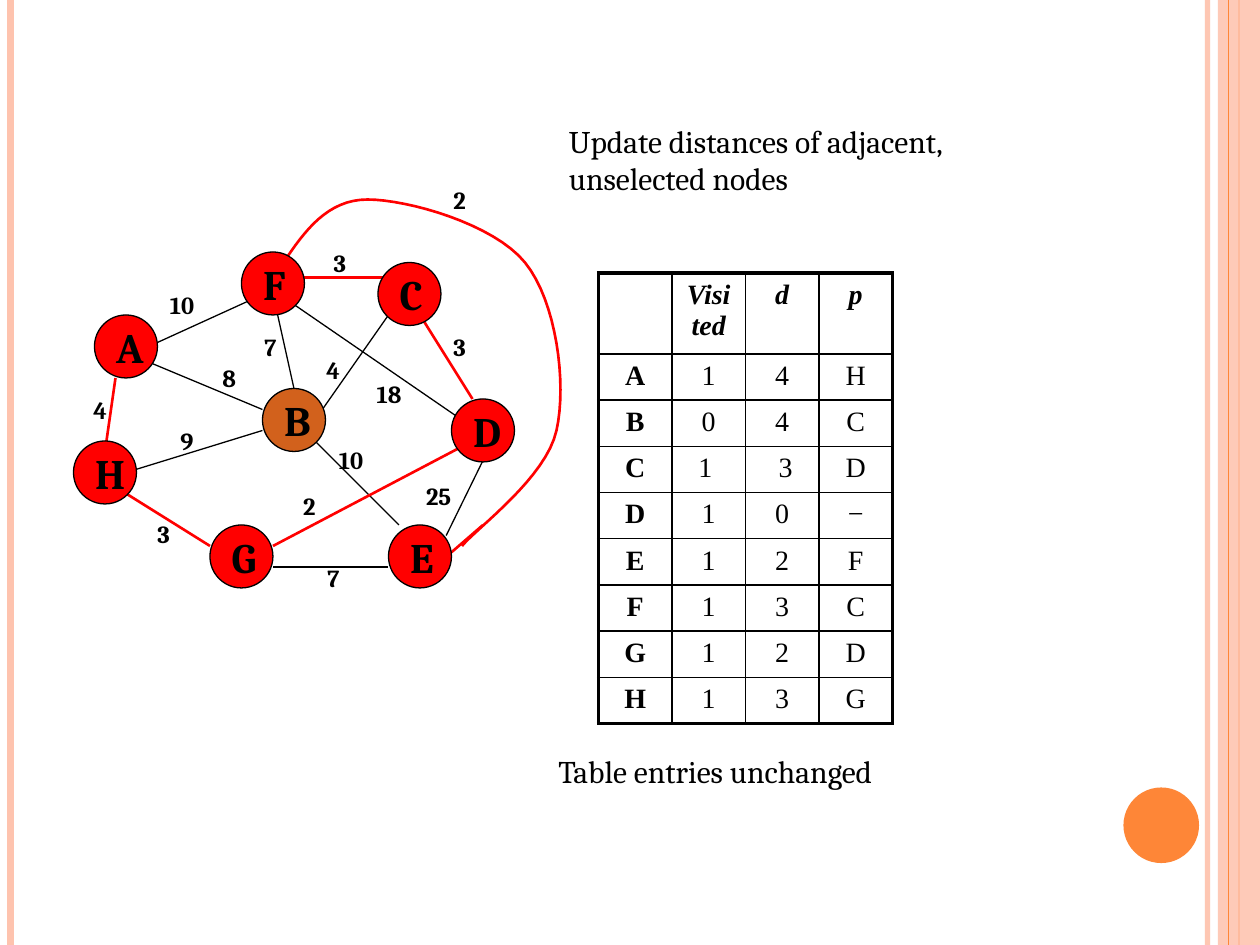
from lxml.etree import SubElement
from pptx import Presentation
from pptx.dml.color import RGBColor
from pptx.enum.shapes import MSO_CONNECTOR, MSO_SHAPE
from pptx.enum.text import MSO_ANCHOR, MSO_AUTO_SIZE, PP_ALIGN
from pptx.oxml.ns import qn
from pptx.util import Pt

SCALE = 7620
RED, BLACK, ROSE, ORANGE, RUST = "FF0000", "000000", "FEC3AE", "FE8637", "D2611C"

NODES = {"A": (20, 130), "H": (0, 250), "B": (180, 200), "F": (160, 70),
         "E": (300, 330), "D": (360, 210), "C": (290, 80), "G": (130, 330)}
THIN = [(404, 240, 355, 340), (190, 110, 210, 200), (230, 230, 300, 130),
        (370, 230, 210, 120), (50, 280, 180, 240), (60, 170, 180, 220),
        (230, 250, 310, 330), (300, 370, 190, 370), (76, 158, 166, 117)]
BOLD = [(190, 350, 380, 250), (30, 260, 40, 190), (216, 94, 310, 94),
        (330, 130, 380, 210), (130, 350, 50, 300), (390, 330, 360, 356)]
CURVE = [(200, 80), (220, 50), (242, 20), (280, 20), (318, 20), (400, 43), (430, 80),
         (460, 117), (470, 195), (460, 240), (450, 285), (385, 332), (370, 350)]
COSTS = [("4", 7, 200), ("25", 324, 282), ("7", 230, 360), ("2", 207, 292),
         ("10", 241, 248), ("18", 277, 185), ("3", 350, 140), ("4", 229, 162),
         ("3", 236, 60), ("7", 170, 140), ("8", 130, 170), ("9", 90, 230),
         ("3", 68, 318), ("10", 80, 100), ("2", 350, 0)]
ROWS = [("", "Visited", "d", "p"), ("A", "1", "4", "H"), ("B", "0", "4", "C"),
        ("C", "1 ", " 3", "D"), ("D", "1", "0", "−"), ("E", "1", "2", "F"),
        ("F", "1", "3", "C"), ("G", "1", "2", "D"), ("H", "1", "3", "G")]


def px(*nums):
    return [round(n * SCALE) for n in nums]


def tint(code):
    return RGBColor.from_string(code)


def fade(shape, percent):
    for color in shape._element.iter(qn("a:srgbClr")):
        SubElement(color, qn("a:alpha"), val=str(percent * 1000))


def write(frame, text, size=18, font="Cambria", bold=False, slant=False,
          align=PP_ALIGN.LEFT):
    para = frame.paragraphs[0]
    para.alignment = align
    run = para.add_run()
    run.text = text
    style = run.font
    style.size, style.name, style.bold, style.italic = Pt(size), font, bold, slant
    style.color.rgb = tint(BLACK)


def label(slide, box, text, **form):
    frame = slide.shapes.add_textbox(*px(*box)).text_frame
    frame.word_wrap = True
    frame.auto_size = MSO_AUTO_SIZE.SHAPE_TO_FIT_TEXT
    write(frame, text, **form)


def line(slide, ends, color, width):
    link = slide.shapes.add_connector(MSO_CONNECTOR.STRAIGHT, *px(*ends))
    link.line.color.rgb = tint(color)
    link.line.width = Pt(width)
    SubElement(link._element.spPr, qn("a:effectLst"))
    return link


def solid(slide, kind, box, color):
    shape = slide.shapes.add_shape(kind, *px(*box))
    shape.shadow.inherit = False
    shape.fill.solid()
    shape.fill.fore_color.rgb = tint(color)
    shape.line.fill.background()
    return shape


def trim(slide, wide, high):
    fade(line(slide, (wide - 50, 0, wide - 50, high), ROSE, 3), 93)
    line(slide, (10, 0, 10, high), ROSE, 4.5)
    line(slide, (wide - 20, 0, wide - 20, high), ORANGE, 1.5)
    fade(solid(slide, MSO_SHAPE.RECTANGLE, (wide - 40, 0, 40, high), ROSE), 87)
    line(slide, (wide - 30, 0, wide - 30, high), ORANGE, 0.75)
    solid(slide, MSO_SHAPE.OVAL, (wide - 130, high - 150, 72, 72), ORANGE)


def bend(knots, steps=16):
    dots = [knots[0]]
    for start in range(0, len(knots) - 1, 3):
        quad = knots[start:start + 4]
        for step in range(1, steps + 1):
            t = step / steps
            parts = ((1 - t) ** 3, 3 * t * (1 - t) ** 2, 3 * t * t * (1 - t), t ** 3)
            dots.append(tuple(sum(w * dot[axis] for w, dot in zip(parts, quad))
                              for axis in (0, 1)))
    return dots


def graph(slide, left, top):
    dots = [px(left + x, top + y) for x, y in bend(CURVE)]
    pen = slide.shapes.build_freeform(*dots[0])
    pen.add_line_segments(dots[1:], close=False)
    arc = pen.convert_to_shape()
    arc.shadow.inherit = False
    arc.fill.background()
    arc.line.color.rgb = tint(RED)
    arc.line.width = Pt(1.5)
    for edges, color, width in ((THIN, BLACK, 0.75), (BOLD, RED, 1.5)):
        for a, b, c, d in edges:
            line(slide, (left + a, top + b, left + c, top + d), color, width)
    for name, (x, y) in NODES.items():
        node = solid(slide, MSO_SHAPE.OVAL, (left + x, top + y, 60, 60),
                     RUST if name == "B" else RED)
        node.line.color.rgb = tint(BLACK)
        node.line.width = Pt(0.75)
        node.text_frame.word_wrap = False
        node.text_frame.vertical_anchor = MSO_ANCHOR.MIDDLE
        write(node.text_frame, name, size=24, bold=True)
    for text, x, y in COSTS:
        label(slide, (left + x, top + y, 40 if len(text) == 1 else 62, 40), text,
              size=14, bold=True)


def frame_cell(cell, sides):
    props = cell._tc.get_or_add_tcPr()
    for tag, outer in sides:
        edge = SubElement(props, qn("a:" + tag), w=str(Pt(2.25 if outer else 1)))
        fill = SubElement(edge, qn("a:solidFill"))
        SubElement(fill, qn("a:srgbClr"), val=BLACK)
    cell.fill.background()


def grid(slide, left, top, side=70, head=77, step=44):
    last, end = len(ROWS) - 1, len(ROWS[0]) - 1
    box = px(left, top, side * (end + 1), head + step * last)
    table = slide.shapes.add_table(last + 1, end + 1, *box).table
    table.first_row = table.horz_banding = False
    for col in table.columns:
        col.width = px(side)[0]
    for r, row in enumerate(ROWS):
        table.rows[r].height = px(step if r else head)[0]
        for c, text in enumerate(row):
            cell = table.cell(r, c)
            frame_cell(cell, (("lnL", c == 0), ("lnR", c == end),
                              ("lnT", r == 0), ("lnB", r == last)))
            write(cell.text_frame, text, size=16, font="Times New Roman",
                  bold=r == 0 or c == 0, slant=r == 0, align=PP_ALIGN.CENTER)


def main():
    deck = Presentation()
    deck.slide_width, deck.slide_height = px(1200, 900)
    slide = deck.slides.add_slide(deck.slide_layouts[6])
    trim(slide, 1200, 900)
    graph(slide, 70, 170)
    label(slide, (530, 110, 380, 92), "Update distances of adjacent, unselected nodes")
    grid(slide, 570, 260)
    label(slide, (520, 710, 370, 52), "Table entries unchanged")
    deck.save("out.pptx")


if __name__ == "__main__":
    main()
